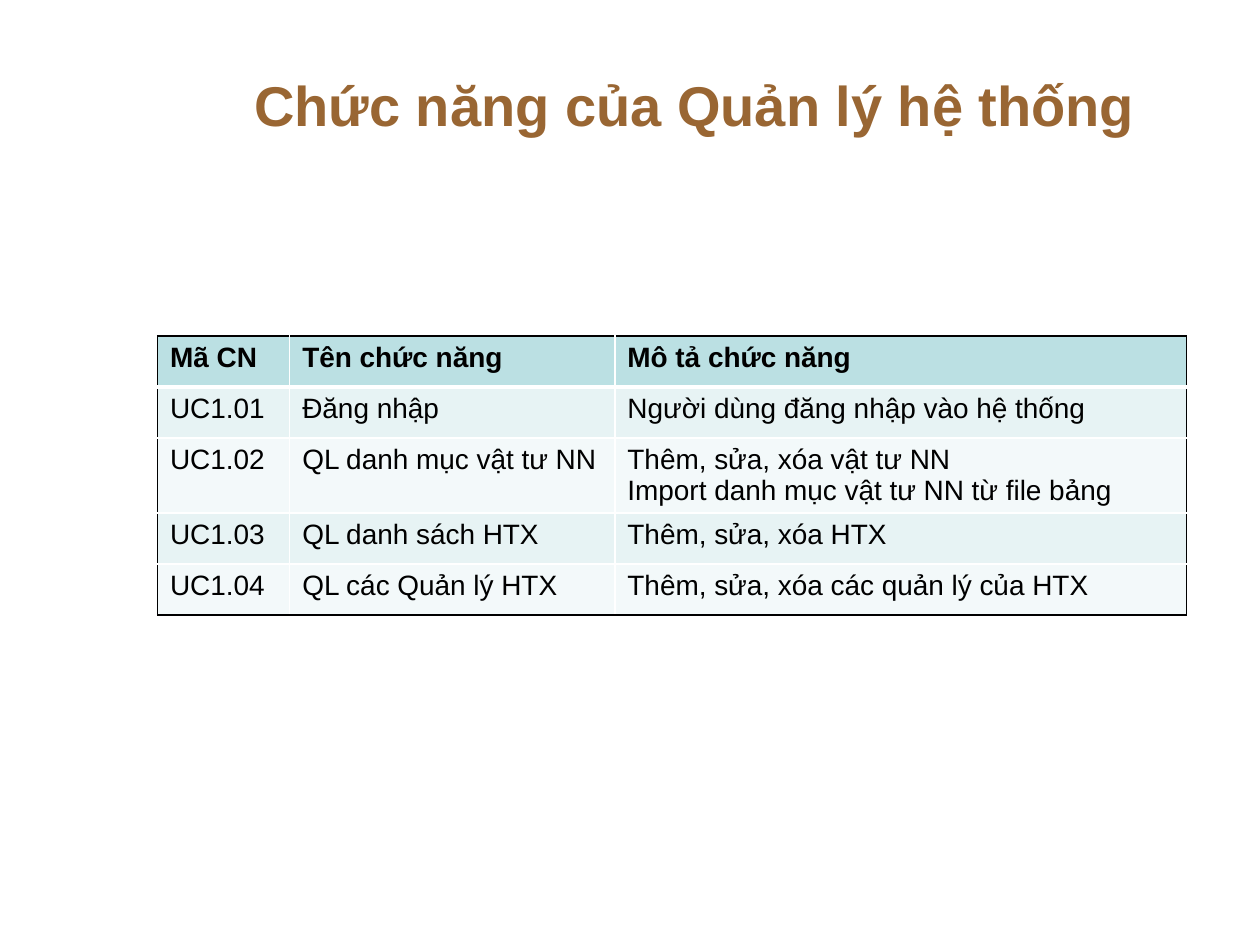
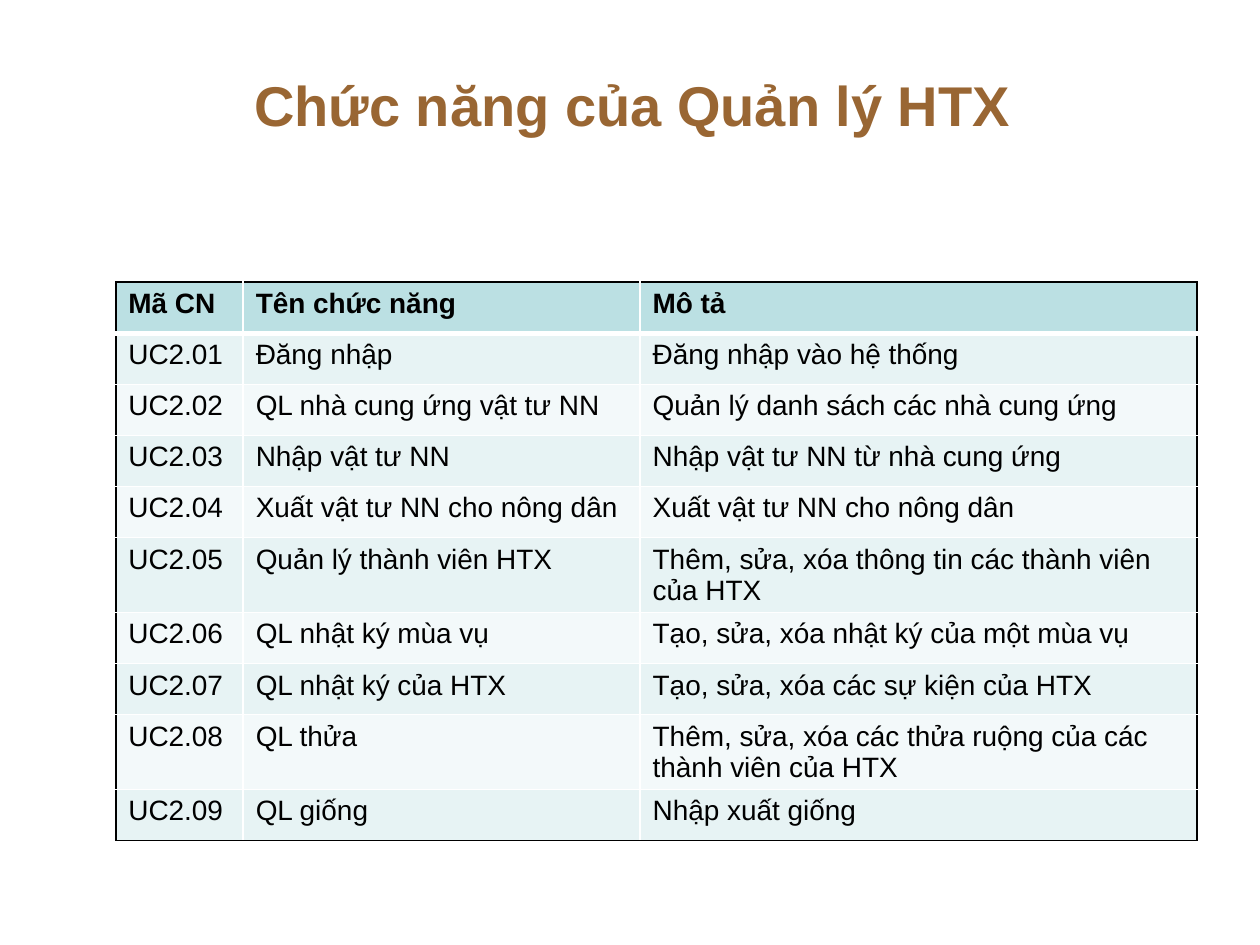
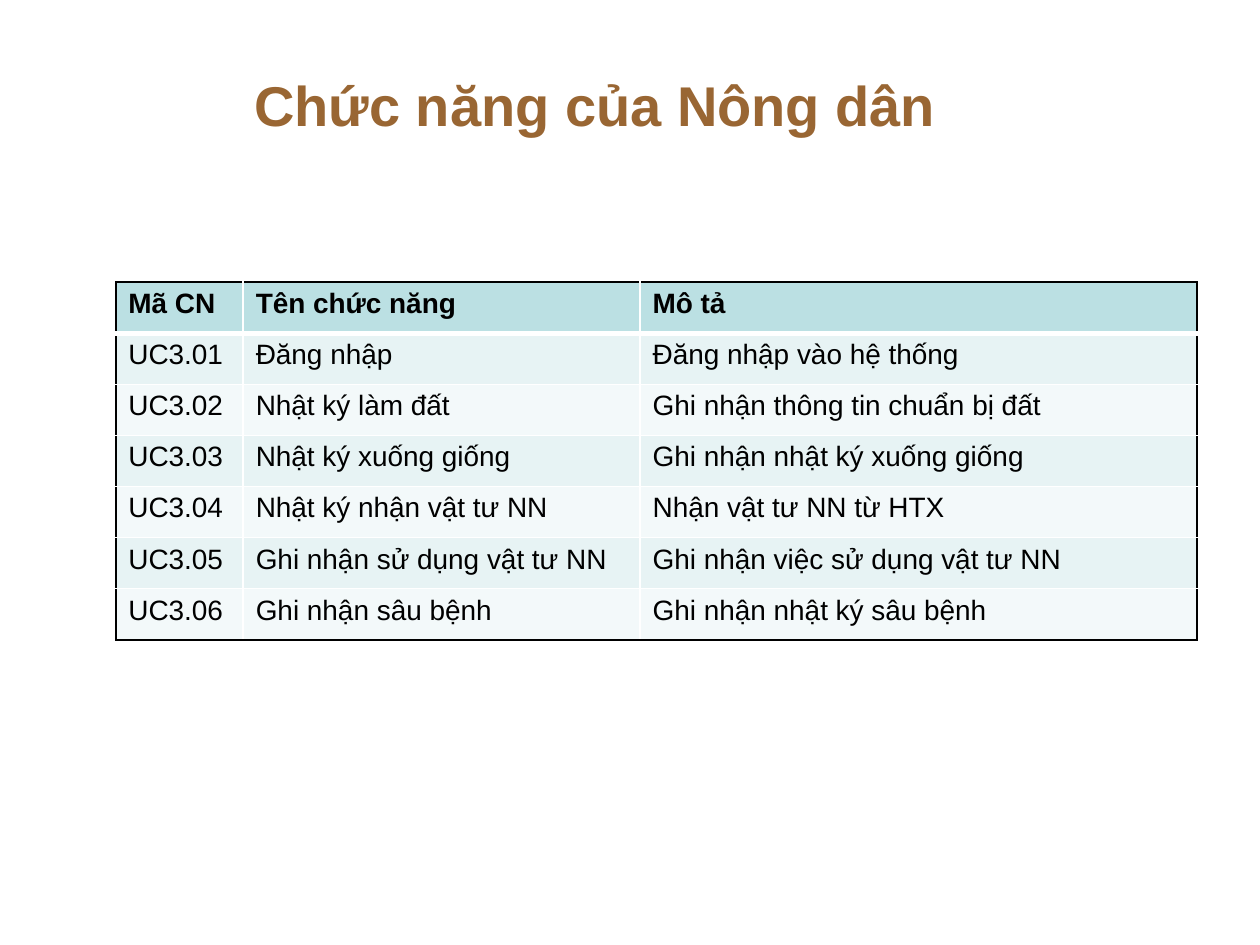
from lxml.etree import SubElement as Sub
from pptx import Presentation
from pptx.dml.color import RGBColor as Rgb
from pptx.enum.text import MSO_ANCHOR as Anchor, MSO_AUTO_SIZE as Fit, PP_ALIGN as Align
from pptx.oxml.ns import qn
from pptx.util import Pt

HUES = {
    "title": "996633", "ink": "000000", "grid": "FFFFFF",
    "head": "BBE0E3", "odd": "E7F3F4", "even": "F3F9FA",
}
FONTS = {
    "title": {"name": "Arial", "size": Pt(32), "bold": True},
    "head": {"name": "Arial", "size": Pt(16), "bold": True},
    "cell": {"name": "Arial", "size": Pt(16), "bold": False},
}
TITLE_BOX = {"left": Pt(138), "top": Pt(22.5), "width": Pt(558), "height": Pt(74)}
ROW_H = 29.2
WIDE = {"left": 66.2, "top": 161.2, "cols": (72.8, 226.8, 318.2)}

SLIDES = [
    {
        "title": "Chức năng của Quản lý hệ thống",
        "grid": {"left": 90, "top": 192, "cols": (75.6, 185.8, 326.8)},
        "last": "Mô tả chức năng",
        "rows": [
            ("Đăng nhập", "Người dùng đăng nhập vào hệ thống"),
            ("QL danh mục vật tư NN",
             "Thêm, sửa, xóa vật tư NN\nImport danh mục vật tư NN từ file bảng"),
            ("QL danh sách HTX", "Thêm, sửa, xóa HTX"),
            ("QL các Quản lý HTX", "Thêm, sửa, xóa các quản lý của HTX"),
        ],
    },
    {
        "title": "Chức năng của Quản lý HTX",
        "grid": WIDE,
        "last": "Mô tả",
        "rows": [
            ("Đăng nhập", "Đăng nhập vào hệ thống"),
            ("QL nhà cung ứng vật tư NN", "Quản lý danh sách các nhà cung ứng"),
            ("Nhập vật tư NN", "Nhập vật tư NN từ nhà cung ứng"),
            ("Xuất vật tư NN cho nông dân", "Xuất vật tư NN cho nông dân"),
            ("Quản lý thành viên HTX", "Thêm, sửa, xóa thông tin các thành viên của HTX"),
            ("QL nhật ký mùa vụ", "Tạo, sửa, xóa nhật ký của một mùa vụ"),
            ("QL nhật ký của HTX", "Tạo, sửa, xóa các sự kiện của HTX"),
            ("QL thửa", "Thêm, sửa, xóa các thửa ruộng của các thành viên của HTX"),
            ("QL giống", "Nhập xuất giống"),
        ],
    },
    {
        "title": "Chức năng của Nông dân",
        "grid": WIDE,
        "last": "Mô tả",
        "rows": [
            ("Đăng nhập", "Đăng nhập vào hệ thống"),
            ("Nhật ký làm đất", "Ghi nhận thông tin chuẩn bị đất"),
            ("Nhật ký xuống giống", "Ghi nhận nhật ký xuống giống"),
            ("Nhật ký nhận vật tư NN", "Nhận vật tư NN từ HTX"),
            ("Ghi nhận sử dụng vật tư NN", "Ghi nhận việc sử dụng vật tư NN"),
            ("Ghi nhận sâu bệnh", "Ghi nhận nhật ký sâu bệnh"),
        ],
    },
]


def style(frame, kind, hue):
    for para in frame.paragraphs:
        para.alignment = Align.LEFT
        for key, value in FONTS[kind].items():
            setattr(para.font, key, value)
        para.font.color.rgb = Rgb.from_string(HUES[hue])


def border(cell, side, hue, width):
    """Draw one cell edge; call in the order L, R, T, B, before the fill."""
    line = Sub(cell._tc.get_or_add_tcPr(), qn(f"a:ln{side}"), w=str(Pt(width)))
    Sub(Sub(line, qn("a:solidFill")), qn("a:srgbClr"), val=HUES[hue])


deck = Presentation()
deck.slide_width, deck.slide_height = Pt(720), Pt(540)

for num, page in enumerate(SLIDES, 1):
    slide = deck.slides.add_slide(deck.slide_layouts[5])
    title = slide.shapes.title
    for key, value in TITLE_BOX.items():
        setattr(title, key, value)
    frame = title.text_frame
    frame.text = page["title"]
    frame.auto_size = Fit.NONE
    frame.vertical_anchor = Anchor.MIDDLE
    style(frame, "title", "title")

    rows = [("Mã CN", "Tên chức năng", page["last"])]
    rows += [(f"UC{num}.{i:02}", *row) for i, row in enumerate(page["rows"], 1)]
    grid = page["grid"]
    cols = grid["cols"]
    table = slide.shapes.add_table(
        len(rows), len(cols), Pt(grid["left"]), Pt(grid["top"]),
        Pt(sum(cols)), Pt(ROW_H * len(rows))).table
    for col, width in zip(table.columns, cols):
        col.width = Pt(width)

    for r, row in enumerate(rows):
        table.rows[r].height = Pt(ROW_H)
        band = "head" if r == 0 else "odd" if r % 2 else "even"
        for c, text in enumerate(row):
            cell = table.cell(r, c)
            cell.text = text
            style(cell.text_frame, "cell" if r else "head", "ink")
            outer = {"L": c == 0, "R": c == len(cols) - 1,
                     "T": r == 0, "B": r == len(rows) - 1}
            for side, edge in outer.items():
                thick = (r, side) in ((0, "B"), (1, "T"))
                border(cell, side, "ink" if edge else "grid", 3 if thick else 1)
            cell.fill.solid()
            cell.fill.fore_color.rgb = Rgb.from_string(HUES[band])

deck.save("out.pptx")
